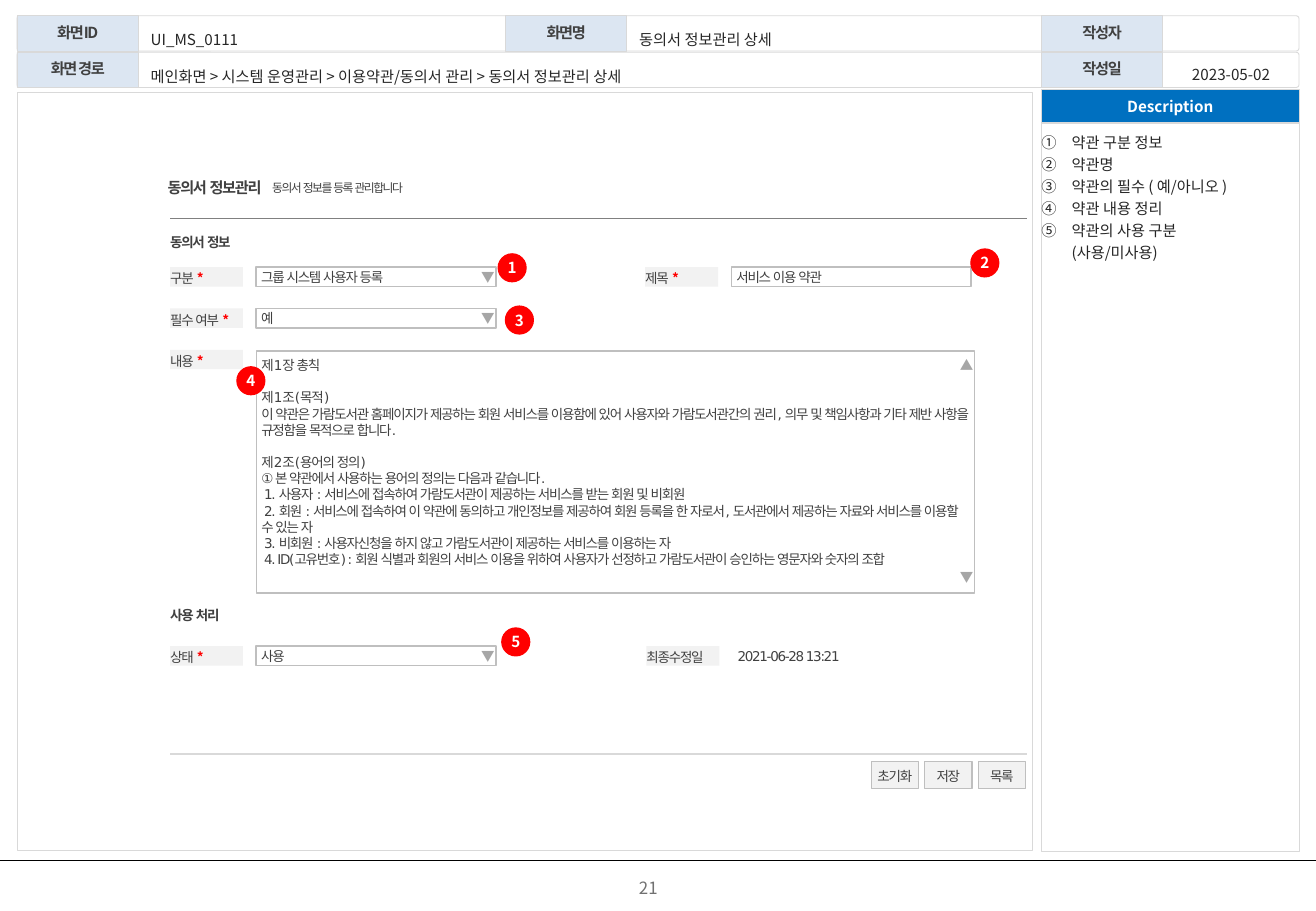
from dataclasses import dataclass, replace

from lxml.etree import SubElement
from pptx import Presentation
from pptx.dml.color import RGBColor
from pptx.enum.shapes import MSO_CONNECTOR, MSO_SHAPE
from pptx.enum.text import MSO_ANCHOR, PP_ALIGN
from pptx.oxml.ns import qn
from pptx.util import Inches, Pt

NOTO = "Noto Sans CJK KR"
DEJAVU = "DejaVu Sans"
LEFT, CENTER = PP_ALIGN.LEFT, PP_ALIGN.CENTER
TOP, MIDDLE = MSO_ANCHOR.TOP, MSO_ANCHOR.MIDDLE
FIELD_PADDING = (0.04, 0.05, 0.04, 0.05)
ROW_HEIGHT = 0.16


@dataclass(frozen=True)
class Style:
    """Character formatting of a run."""
    size: float
    color: str
    font: str = NOTO
    bold: bool = False
    spacing: int = 0


HEADING = Style(9, "404040", bold=True, spacing=-80)
ENTRY = Style(9, "262626")
BADGE = Style(9, "FFFFFF", bold=True)
FORM = Style(8, "404040", DEJAVU, spacing=-80)
SECTION = replace(FORM, bold=True)
REQUIRED = Style(8, "FF0000", bold=True)
ARROW = Style(8, "A6A6A6", bold=True, spacing=-80)

TERMS = [
    ("제1장 총칙", 0),
    ("제1조(목적)", 9.6),
    ("이 약관은 가람도서관 홈페이지가 제공하는 회원 서비스를 이용함에 있어 사용자와 "
     "가람도서관간의 권리, 의무 및 책임사항과 기타 제반 사항을 규정함을 목적으로 합니다.", 0),
    ("제2조(용어의 정의)", 9.6),
    ("① 본 약관에서 사용하는 용어의 정의는 다음과 같습니다.", 0),
    (" 1. 사용자 : 서비스에 접속하여 가람도서관이 제공하는 서비스를 받는 회원 및 비회원", 0),
    (" 2. 회원 : 서비스에 접속하여 이 약관에 동의하고 개인정보를 제공하여 회원 등록을 "
     "한 자로서, 도서관에서 제공하는 자료와 서비스를 이용할 수 있는 자", 0),
    (" 3. 비회원 : 사용자신청을 하지 않고 가람도서관이 제공하는 서비스를 이용하는 자", 0),
    (" 4. ID(고유번호) : 회원 식별과 회원의 서비스 이용을 위하여 사용자가 선정하고 "
     "가람도서관이 승인하는 영문자와 숫자의 조합", 0),
]
NOTES = ["약관 구분 정보", "약관명", "약관의 필수 ( 예/아니오 )", "약관 내용 정리",
         "약관의 사용 구분\n(사용/미사용)"]


def rgb(color):
    """Turn a hex string into a colour."""
    return RGBColor.from_string(color)


def format_run(run, style):
    """Apply a style to a run, for Latin and Korean letters alike."""
    run.font.size = Pt(style.size)
    run.font.bold = style.bold
    run.font.name = style.font
    run.font.color.rgb = rgb(style.color)
    properties = run._r.get_or_add_rPr()
    properties.set("spc", str(style.spacing))
    SubElement(properties, qn("a:ea")).set("typeface", style.font)


def format_paragraph(paragraph, style, align=LEFT, spacing=None, before=0):
    """Format a paragraph and all its runs."""
    paragraph.alignment = align
    paragraph.line_spacing = spacing
    paragraph.space_before = Pt(before)
    for run in paragraph.runs:
        format_run(run, style)


def set_frame(shape, padding=(0, 0, 0, 0), anchor=MIDDLE, wrap=True):
    """Set the margins, anchor and wrapping of a shape's text."""
    frame = shape.text_frame
    (frame.margin_left, frame.margin_top,
     frame.margin_right, frame.margin_bottom) = map(Inches, padding)
    frame.vertical_anchor = anchor
    frame.word_wrap = wrap
    return frame


def add_text(slide, place, text, style, align=LEFT, spacing=1.2, padding=(0, 0, 0, 0),
             wrap=True):
    """Add a text box with one paragraph."""
    box = slide.shapes.add_textbox(*map(Inches, place))
    frame = set_frame(box, padding, wrap=wrap)
    frame.text = text
    format_paragraph(frame.paragraphs[0], style, align, spacing)


def add_box(slide, place, fill=None, line=None, width=0.5, preset=MSO_SHAPE.RECTANGLE):
    """Add a flat shape, filled and outlined only on request."""
    box = slide.shapes.add_shape(preset, *map(Inches, place))
    box.shadow.inherit = False
    if fill:
        box.fill.solid()
        box.fill.fore_color.rgb = rgb(fill)
    else:
        box.fill.background()
    if line:
        box.line.color.rgb = rgb(line)
        box.line.width = Pt(width)
    else:
        box.line.fill.background()
    return box


def label_box(box, text, style, align=CENTER, spacing=None, before=0, **frame_options):
    """Write one paragraph in a shape."""
    frame = set_frame(box, **frame_options)
    frame.text = text
    format_paragraph(frame.paragraphs[0], style, align, spacing, before)
    return frame.paragraphs[0]


def add_rule(slide, left, right, y, color, width):
    """Add a horizontal line."""
    rule = slide.shapes.add_connector(
        MSO_CONNECTOR.STRAIGHT, Inches(left), Inches(y), Inches(right), Inches(y))
    rule.line.color.rgb = rgb(color)
    rule.line.width = Pt(width)
    SubElement(rule._element.spPr, qn("a:effectLst"))


def add_header(slide):
    """Add the two header bars with their headings and entries."""
    for top in (0.13, 0.43):
        bar = add_box(slide, (0.14, top, 10.55, 0.29), line="D9D9D9",
                      preset=MSO_SHAPE.ROUNDED_RECTANGLE)
        bar.adjustments[0] = 0.08
    for left, top, heading in ((0.14, 0.13, "화면ID"), (4.16, 0.13, "화면명"),
                               (8.57, 0.13, "작성자"), (0.14, 0.43, "화면 경로"),
                               (8.57, 0.43, "작성일")):
        cell = add_box(slide, (left, top, 1, 0.29), "DCE6F2", "D9D9D9")
        label_box(cell, heading, HEADING, spacing=0.9, before=9.2)
    for place, entry in (
            ((1.16, 0.13, 2.99, 0.31), "UI_MS_0111"),
            ((1.16, 0.44, 7.4, 0.31),
             "메인화면 > 시스템 운영관리 > 이용약관/동의서 관리 > 동의서 정보관리 상세")):
        add_text(slide, place, entry, ENTRY, spacing=1.5, padding=(0.08, 0, 0, 0))
    add_text(slide, (9.59, 0.44, 1.08, 0.27), "2023-05-02", ENTRY, CENTER, 1.5)


def set_title(slide, text):
    """Place the screen name in the header."""
    title = slide.shapes.title
    title.left, title.top, title.width, title.height = map(Inches, (5.18, 0.13, 3.39, 0.31))
    label_box(title, text, ENTRY, LEFT, 1.5, padding=(0.08, 0, 0, 0))


def add_label(slide, left, top, text, required=True):
    """Add a grey form label, with a red star if it is required."""
    box = add_box(slide, (left, top, 0.6, ROW_HEIGHT), "F2F2F2")
    paragraph = label_box(box, text, FORM, LEFT, 1.2, wrap=False)
    if required:
        star = paragraph.add_run()
        star.text = " *"
        format_run(star, REQUIRED)


def add_arrow(slide, left, top, glyph):
    """Add a grey triangle of a list or scroll bar."""
    box = add_box(slide, (left, top, 0.15, ROW_HEIGHT))
    label_box(box, glyph, ARROW, padding=FIELD_PADDING)


def add_field(slide, left, top, label, value, editable=True, dropdown=True):
    """Add a form label with its value beside it."""
    add_label(slide, left, top, label, editable)
    box = add_box(slide, (left + 0.71, top, 1.97, ROW_HEIGHT),
                  line="BFBFBF" if editable else None, width=1)
    label_box(box, value, FORM, LEFT, padding=FIELD_PADDING)
    if dropdown:
        add_arrow(slide, left + 2.52, top, "▼")


def add_terms(slide):
    """Add the scrolling box with the terms of use."""
    add_label(slide, 1.4, 2.88, "내용")
    box = add_box(slide, (2.11, 2.89, 5.91, 1.99), line="BFBFBF", width=1)
    frame = set_frame(box, FIELD_PADDING, TOP)
    for index, (clause, before) in enumerate(TERMS):
        paragraph = frame.add_paragraph() if index else frame.paragraphs[0]
        paragraph.text = clause
        format_paragraph(paragraph, FORM, before=before)
    add_arrow(slide, 7.86, 2.93, "▲")
    add_arrow(slide, 7.86, 4.67, "▼")


def add_description(slide):
    """Add the description panel with its numbered notes."""
    add_box(slide, (8.57, 1.02, 2.12, 5.99), line="D9D9D9")
    banner = add_box(slide, (8.57, 0.74, 2.12, 0.27), "0070C0", "D9D9D9")
    label_box(banner, "Description", BADGE, wrap=False)
    notes = slide.shapes.add_textbox(*map(Inches, (8.57, 1.07, 2.13, 4.86)))
    frame = set_frame(notes, anchor=TOP)
    for index, note in enumerate(NOTES):
        paragraph = frame.add_paragraph() if index else frame.paragraphs[0]
        paragraph.text = note
        format_paragraph(paragraph, ENTRY, spacing=1.2)
        properties = paragraph._p.get_or_add_pPr()
        properties.set("marL", str(Inches(0.25)))
        properties.set("indent", str(Inches(-0.25)))
        SubElement(properties, qn("a:buAutoNum")).set("type", "circleNumDbPlain")


def add_form(slide):
    """Add the screen with its form, buttons and numbered badges."""
    add_box(slide, (0.14, 0.76, 8.36, 6.24), line="D9D9D9")
    for place, text, style in (
            ((1.38, 1.45, 0.79, 0.16), "동의서 정보관리", replace(SECTION, size=9)),
            ((2.24, 1.46, 1.89, 0.15), "동의서 정보를 등록 관리합니다", replace(FORM, size=7)),
            ((1.4, 1.9, 0.6, 0.16), "동의서 정보", SECTION),
            ((1.4, 4.97, 0.6, 0.16), "사용 처리", SECTION)):
        add_text(slide, place, text, style, wrap=False)
    add_rule(slide, 1.4, 8.45, 1.8, "808080", 1)
    add_rule(slide, 1.4, 8.45, 6.21, "D9D9D9", 1)
    add_field(slide, 1.4, 2.2, "구분", "그룹 시스템 사용자 등록")
    add_field(slide, 5.31, 2.2, "제목", "서비스 이용 약관", dropdown=False)
    add_field(slide, 1.4, 2.54, "필수 여부", "예")
    add_terms(slide)
    add_field(slide, 1.4, 5.32, "상태", "사용")
    add_field(slide, 5.32, 5.32, "최종수정일", "2021-06-28 13:21", False, False)
    for index, action in enumerate(("초기화", "저장", "목록")):
        button = add_box(slide, (7.17 + 0.44 * index, 6.27, 0.39, 0.22),
                         "F2F2F2", "BFBFBF", 0.75)
        label_box(button, action, FORM, spacing=1.2, wrap=False)
    badge_places = ((4.1, 2.09), (7.99, 2.05), (4.16, 2.52), (1.95, 3.02), (4.13, 5.17))
    for number, (left, top) in enumerate(badge_places, 1):
        badge = add_box(slide, (left, top, 0.23, 0.23), "FF0000", "FF0000", 0.75,
                        MSO_SHAPE.OVAL)
        label_box(badge, str(number), BADGE, wrap=False)


def main():
    """Build the screen specification slide."""
    deck = Presentation()
    deck.slide_width, deck.slide_height = Inches(10.83), Inches(7.5)
    slide = deck.slides.add_slide(deck.slide_layouts[5])
    set_title(slide, "동의서 정보관리 상세")
    add_header(slide)
    add_form(slide)
    add_description(slide)
    add_rule(slide, 0, 10.83, 7.08, "000000", 0.5)
    add_text(slide, (4.07, 7.15, 2.53, 0.31), "21", Style(10, "717171"), CENTER, 1)
    deck.save("out.pptx")


if __name__ == "__main__":
    main()
